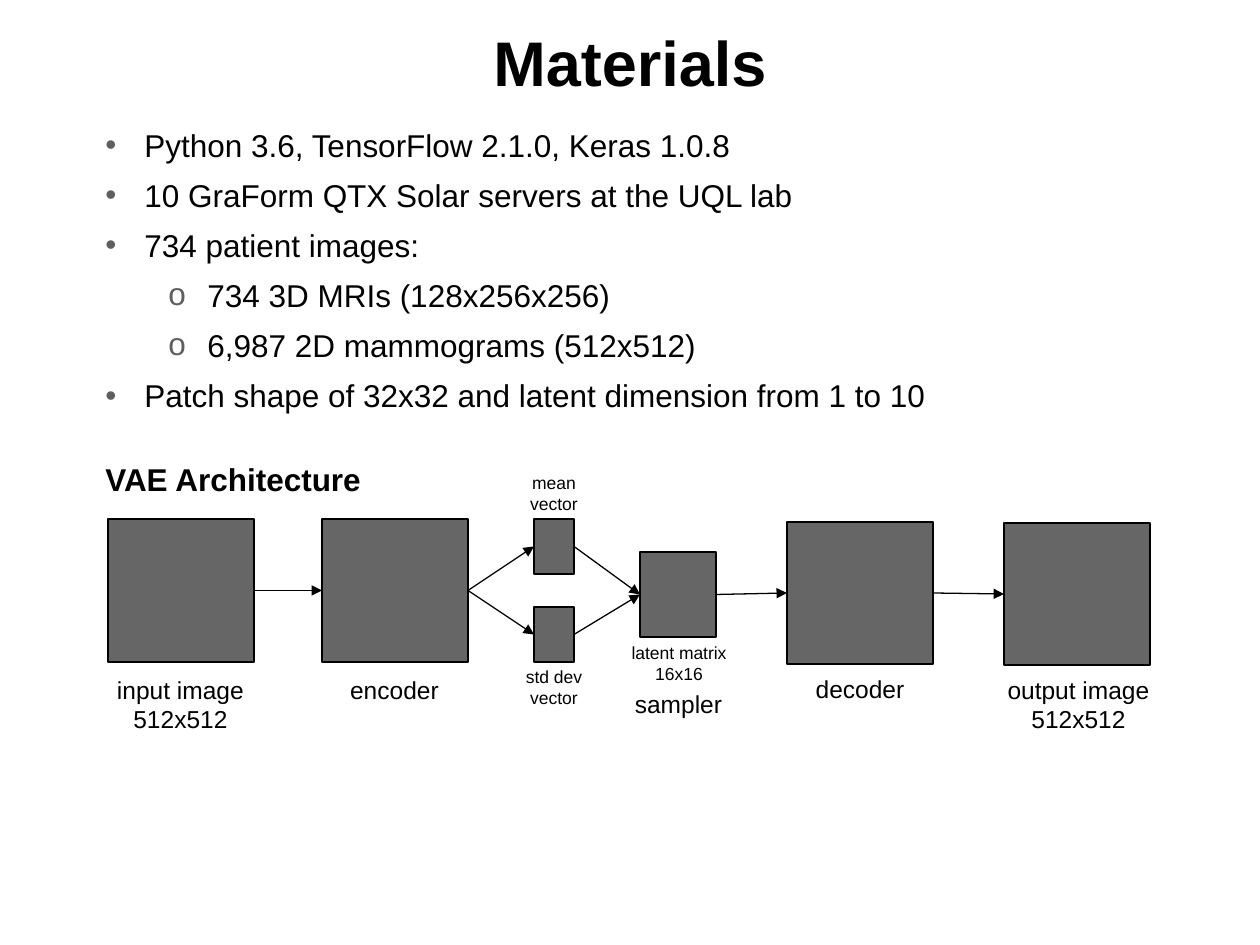
from dataclasses import dataclass

from lxml.etree import SubElement
from pptx import Presentation
from pptx.dml.color import RGBColor
from pptx.enum.shapes import MSO_CONNECTOR as Connector, MSO_SHAPE as Shape
from pptx.enum.text import MSO_ANCHOR as Anchor, PP_ALIGN as Align
from pptx.oxml.ns import qn
from pptx.util import Emu, Pt

EMU_PER_PX = 914400 / 126
RIGHT, LEFT = 3, 1


@dataclass(frozen=True)
class Theme:
    """Colours, font and type sizes of the slide."""

    ink: RGBColor = RGBColor(0, 0, 0)
    block: RGBColor = RGBColor(0x66, 0x66, 0x66)
    bullet: str = "5F5F5F"
    font: str = "Arial"
    title: int = 36
    body: int = 18
    label: int = 14
    small: int = 10
    line: float = 0.75


THEME = Theme()

BULLETS = [
    (0, "Python 3.6, TensorFlow 2.1.0, Keras 1.0.8"),
    (0, "10 GraForm QTX Solar servers at the UQL lab"),
    (0, "734 patient images:"),
    (1, "734 3D MRIs (128x256x256)"),
    (1, "6,987 2D mammograms (512x512)"),
    (0, "Patch shape of 32x32 and latent dimension from 1 to 10"),
]
BULLET_STYLES = [("•", 39), ("o", 102)]
HANGING = 39

BLOCKS = {
    "input": (108, 519, 146, 143),
    "encoder": (322, 519, 146, 143),
    "mean": (534, 519, 40, 55),
    "deviation": (534, 607, 40, 55),
    "sampler": (640, 552, 76, 85),
    "decoder": (787, 522, 146, 142),
    "output": (1004, 523, 146, 142),
}
FLOWS = [
    ("input", "encoder"),
    ("encoder", "mean"),
    ("encoder", "deviation"),
    ("mean", "sampler"),
    ("deviation", "sampler"),
    ("sampler", "decoder"),
    ("decoder", "output"),
]
LABELS = [
    ("input image\n512x512", (93, 663, 175, 79), THEME.label),
    ("encoder", (307, 663, 175, 49), THEME.label),
    ("mean vector", (516, 460, 76, 49), THEME.small),
    ("std dev\nvector", (510, 654, 88, 49), THEME.small),
    ("latent matrix\n16x16", (606, 630, 146, 55), THEME.small),
    ("sampler", (591, 677, 175, 49), THEME.label),
    ("decoder", (787, 662, 146, 50), THEME.label),
    ("output image\n512x512", (993, 663, 171, 79), THEME.label),
]


def px(value):
    """Turn pixels into EMU."""
    return Emu(round(value * EMU_PER_PX))


def add_text(slide, text, box, size, align=Align.LEFT, bold=False, inset=6):
    """Add a wrapped text box and return its text frame."""
    shape = slide.shapes.add_textbox(*map(px, box))
    text_frame = shape.text_frame
    text_frame.word_wrap = True
    text_frame.margin_top = text_frame.margin_bottom = px(inset)
    text_frame.text = text
    for paragraph in text_frame.paragraphs:
        paragraph.alignment = align
        for run in paragraph.runs:
            run.font.name = THEME.font
            run.font.size = Pt(size)
            run.font.bold = bold
            run.font.color.rgb = THEME.ink
    return text_frame


def set_bullet(paragraph, level):
    """Give a paragraph the bullet and hanging indent of its level."""
    character, indent = BULLET_STYLES[level]
    paragraph.level = level
    paragraph.space_before = Pt(1)
    paragraph.space_after = Pt(6)
    properties = paragraph._p.get_or_add_pPr()
    properties.set("marL", str(px(indent)))
    properties.set("indent", str(px(-HANGING)))
    colour = SubElement(properties, qn("a:buClr"))
    SubElement(colour, qn("a:srgbClr"), val=THEME.bullet)
    SubElement(properties, qn("a:buFont"), typeface=THEME.font)
    SubElement(properties, qn("a:buChar"), char=character)


def add_bullets(slide, items, box):
    """Add a two-level bulleted list."""
    text = "\n".join(line for _, line in items)
    text_frame = add_text(slide, text, box, THEME.body)
    for paragraph, (level, _) in zip(text_frame.paragraphs, items):
        set_bullet(paragraph, level)


def add_block(slide, box):
    """Add one grey outlined rectangle of the network."""
    shape = slide.shapes.add_shape(Shape.RECTANGLE, *map(px, box))
    shape.shadow.inherit = False
    shape.fill.solid()
    shape.fill.fore_color.rgb = THEME.block
    shape.line.color.rgb = THEME.ink
    shape.line.width = Pt(THEME.line)
    return shape


def add_arrow(slide, source, target):
    """Join the right side of one block to the left side of another."""
    connector = slide.shapes.add_connector(Connector.STRAIGHT, 0, 0, 0, 0)
    connector.begin_connect(source, RIGHT)
    connector.end_connect(target, LEFT)
    connector.line.color.rgb = THEME.ink
    connector.line.width = Pt(THEME.line)
    SubElement(connector.line._get_or_add_ln(), qn("a:tailEnd"), type="triangle")
    SubElement(connector._element.spPr, qn("a:effectLst"))


def main():
    """Build the materials slide and save it."""
    presentation = Presentation()
    presentation.slide_width, presentation.slide_height = px(1260), px(945)
    slide = presentation.slides.add_slide(presentation.slide_layouts[6])

    title = add_text(slide, "Materials", (0, 3, 1260, 117), THEME.title, Align.CENTER, True)
    title.vertical_anchor = Anchor.MIDDLE
    add_bullets(slide, BULLETS, (93, 120, 1057, 304))
    add_text(slide, "VAE Architecture", (93, 454, 302, 50), THEME.body, bold=True)

    blocks = {name: add_block(slide, box) for name, box in BLOCKS.items()}
    for source, target in FLOWS:
        add_arrow(slide, blocks[source], blocks[target])
    for text, box, size in LABELS:
        add_text(slide, text, box, size, Align.CENTER, inset=12)

    presentation.save("out.pptx")


if __name__ == "__main__":
    main()
